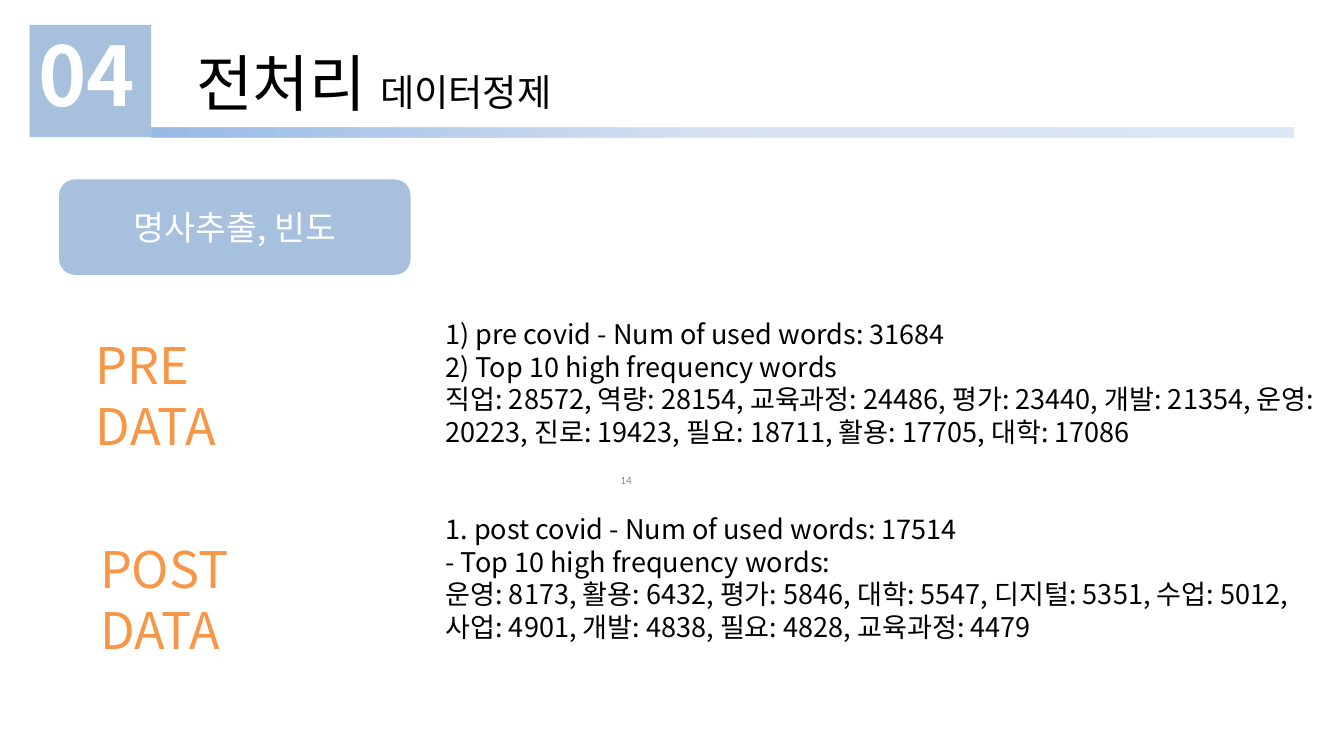
from dataclasses import dataclass

from lxml import etree
from pptx import Presentation
from pptx import util as u
from pptx.dml.color import RGBColor
from pptx.enum import shapes, text
from pptx.oxml import ns, parse_xml


@dataclass(frozen=True)
class Theme:
    font: str = "Noto Sans CJK KR"
    number_font: str = "Calibri"
    panel: str = "93B3D7"
    panel_alpha: int = 82
    rule_stops: tuple = ((0, "538CD5"), (50, "BFCFEC"), (100, "C5D8F1"))
    rule_alpha: int = 60
    accent: str = "F79646"
    ink: str = "000000"
    white: str = "FFFFFF"
    muted: str = "888888"
    number_size: int = 88
    title_size: int = 66
    subtitle_size: int = 40
    tag_size: int = 36
    label_size: int = 54
    body_size: int = 29
    page_size: int = 12


THEME = Theme()

SECTIONS = (
    (("PRE", "DATA"), (1.33, 4.93, 2.45, 1.92), (6.53, 4.68, 13.47, 2.05), (
        "1) pre covid - Num of used words: 31684",
        "2) Top 10 high frequency words",
        "직업: 28572, 역량: 28154, 교육과정: 24486, 평가: 23440, 개발: 21354, "
        "운영: 20223, 진로: 19423, 필요: 18711, 활용: 17705, 대학: 17086")),
    (("POST", "DATA"), (1.39, 7.96, 2.4, 1.92), (6.53, 7.58, 13.47, 2.46), (
        "1. post covid - Num of used words: 17514",
        "- Top 10 high frequency words:",
        "운영: 8173, 활용: 6432, 평가: 5846, 대학: 5547, 디지털: 5351, "
        "수업: 5012, 사업: 4901, 개발: 4838, 필요: 4828, 교육과정: 4479")),
)


def inches(box):
    return [u.Inches(value) for value in box]


def place(shape, box):
    shape.left, shape.top, shape.width, shape.height = inches(box)


def add_run(paragraph, content, size, color, font=THEME.font, bold=False):
    run = paragraph.add_run()
    run.text = content
    run.font.size = u.Pt(size)
    run.font.name = font
    run.font.bold = bold
    run.font.color.rgb = RGBColor.from_string(color)
    # East Asian characters take their own typeface
    latin = run.font._element.find(ns.qn("a:latin"))
    east_asian = etree.Element(ns.qn("a:ea"), typeface=font)
    latin.addnext(east_asian)


def write_lines(shape, lines, align=text.PP_ALIGN.LEFT,
                anchor=text.MSO_ANCHOR.TOP, **run_format):
    frame = shape.text_frame
    frame.word_wrap = True
    frame.auto_size = text.MSO_AUTO_SIZE.NONE
    frame.vertical_anchor = anchor
    for index, line in enumerate(lines):
        paragraph = frame.paragraphs[0] if index == 0 else frame.add_paragraph()
        paragraph.alignment = align
        paragraph.space_before = u.Pt(0)
        add_run(paragraph, line, **run_format)


def add_panel(slide, kind, box):
    shape = slide.shapes.add_shape(kind, *inches(box))
    shape.shadow.inherit = False
    shape.line.fill.background()
    shape.fill.solid()
    shape.fill.fore_color.rgb = RGBColor.from_string(THEME.panel)
    color = shape._element.spPr.find(".//" + ns.qn("a:srgbClr"))
    etree.SubElement(color, ns.qn("a:alpha"), val=str(THEME.panel_alpha * 1000))
    return shape


def fill_gradient(shape, stops, alpha):
    stop_xml = "".join(
        f'<a:gs pos="{position * 1000}"><a:srgbClr val="{color}">'
        f'<a:alpha val="{alpha * 1000}"/></a:srgbClr></a:gs>'
        for position, color in stops)
    gradient = parse_xml(
        f'<a:gradFill {ns.nsdecls("a")}><a:gsLst>{stop_xml}</a:gsLst>'
        '<a:lin ang="0" scaled="0"/></a:gradFill>')
    properties = shape._element.spPr
    properties.replace(properties.find(ns.qn("a:solidFill")), gradient)


def add_header(slide, box):
    left, top, width, height = box
    badge_width, rule_height = 1.81, 0.14
    rectangle = shapes.MSO_SHAPE.RECTANGLE
    add_panel(slide, rectangle, (left, top, badge_width, height))
    rule = add_panel(slide, rectangle, (
        left + badge_width, top + height - rule_height,
        width - badge_width, rule_height))
    fill_gradient(rule, THEME.rule_stops, THEME.rule_alpha)

    # Title sits above the badge; a tab separates number and heading
    title = slide.shapes.title
    slide.shapes._spTree.append(title._element)
    place(title, (left + 0.03, top - 0.06, 12.78, 1.58))
    frame = title.text_frame
    frame.auto_size = text.MSO_AUTO_SIZE.NONE
    frame.vertical_anchor = text.MSO_ANCHOR.TOP
    paragraph = frame.paragraphs[0]
    paragraph.alignment = text.PP_ALIGN.LEFT
    tabs = etree.SubElement(paragraph._p.get_or_add_pPr(), ns.qn("a:tabLst"))
    etree.SubElement(tabs, ns.qn("a:tab"), pos=str(u.Inches(2.35)), algn="l")
    add_run(paragraph, "04", THEME.number_size, THEME.white, bold=True)
    add_run(paragraph, "\t전처리 ", THEME.title_size, THEME.ink)
    add_run(paragraph, "데이터정제", THEME.subtitle_size, THEME.ink)


def add_tag(slide, box):
    tag = add_panel(slide, shapes.MSO_SHAPE.ROUNDED_RECTANGLE, box)
    write_lines(tag, ["명사추출, 빈도"], align=text.PP_ALIGN.CENTER,
                anchor=text.MSO_ANCHOR.MIDDLE,
                size=THEME.tag_size, color=THEME.white)


def add_section(slide, body, label, label_box, body_box, lines):
    label_shape = slide.shapes.add_textbox(*inches(label_box))
    write_lines(label_shape, label, align=text.PP_ALIGN.JUSTIFY,
                size=THEME.label_size, color=THEME.accent)
    place(body, body_box)
    write_lines(body, lines, size=THEME.body_size, color=THEME.ink)
    # Plain lines: no bullet and no hanging indent
    for paragraph in body.text_frame.paragraphs:
        properties = paragraph._p.get_or_add_pPr()
        properties.set("marL", "0")
        properties.set("indent", "0")
        etree.SubElement(properties, ns.qn("a:buNone"))


def add_page_number(slide, box):
    number = slide.shapes.add_textbox(*inches(box))
    write_lines(number, ["14"], align=text.PP_ALIGN.RIGHT,
                anchor=text.MSO_ANCHOR.MIDDLE, size=THEME.page_size,
                color=THEME.muted, font=THEME.number_font)


def main():
    presentation = Presentation()
    presentation.slide_width = u.Inches(20)
    presentation.slide_height = u.Inches(11.25)
    two_content = presentation.slide_layouts[3]
    slide = presentation.slides.add_slide(two_content)

    add_header(slide, (0.44, 0.37, 18.81, 1.67))
    add_tag(slide, (0.88, 2.67, 5.23, 1.42))
    bodies = [slide.placeholders[1], slide.placeholders[2]]
    for body, section in zip(bodies, SECTIONS):
        add_section(slide, body, *section)
    add_page_number(slide, (7.17, 6.95, 2.33, 0.4))

    presentation.save("out.pptx")


if __name__ == "__main__":
    main()
